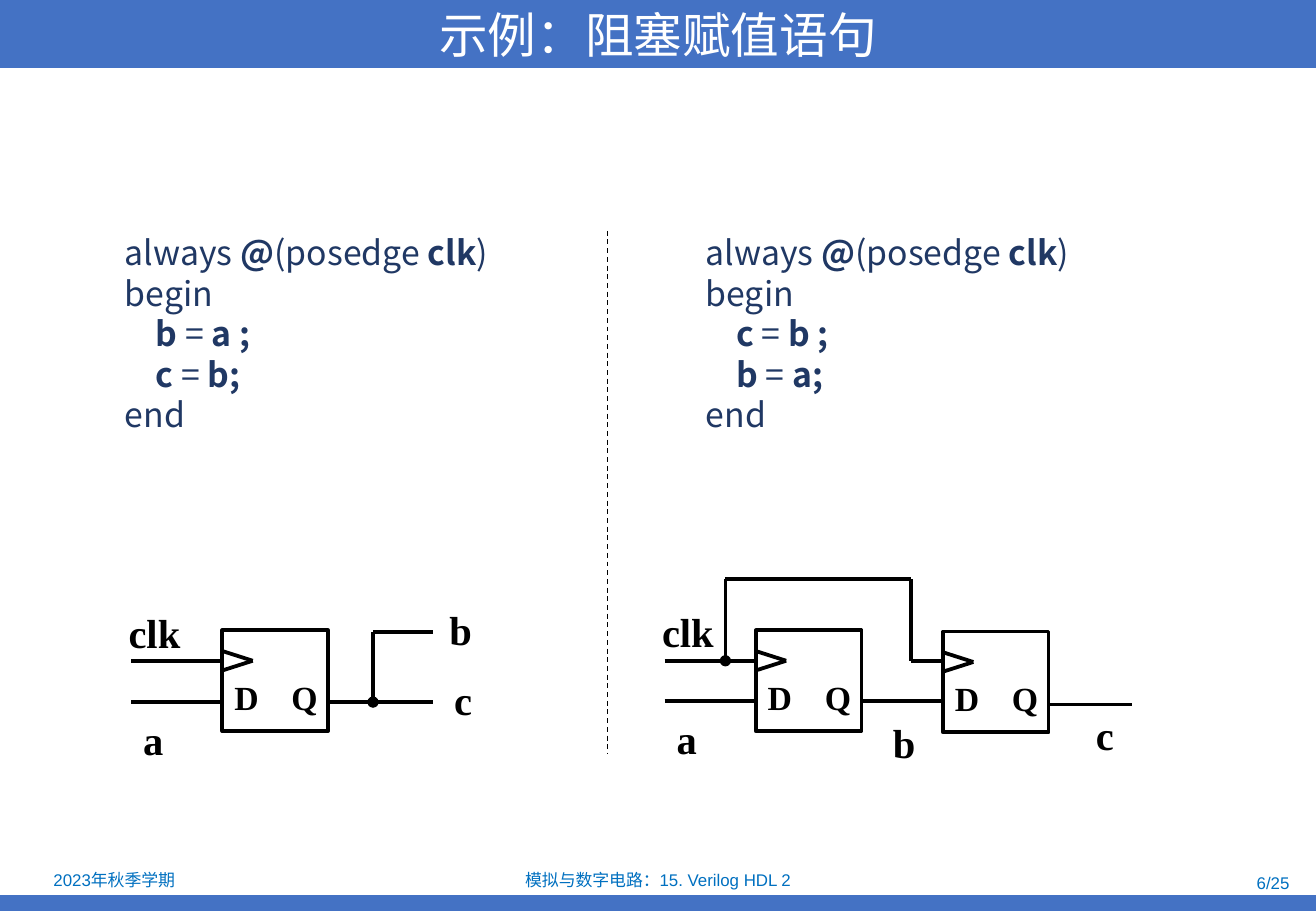
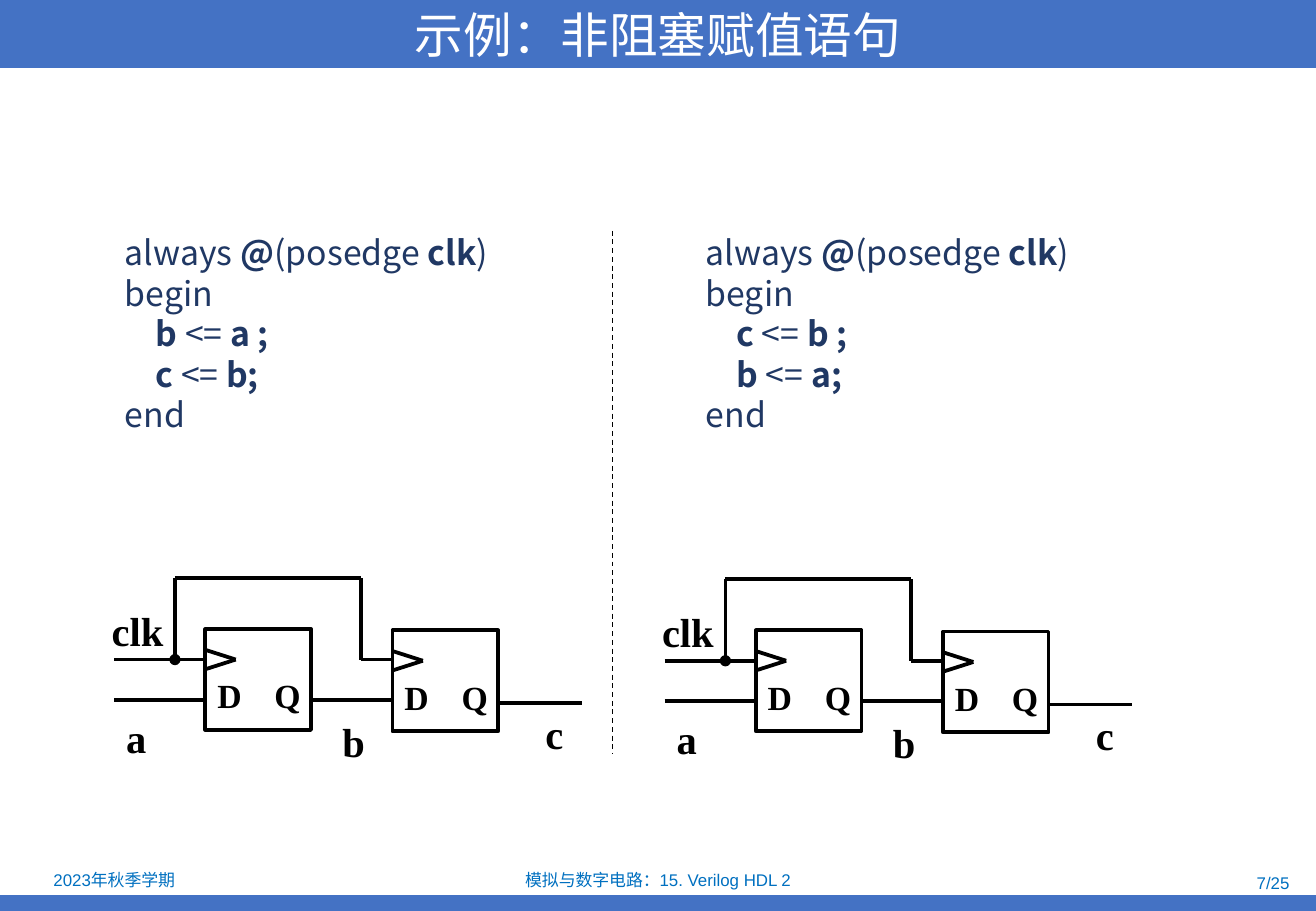
from dataclasses import dataclass

from lxml import etree
from pptx import Presentation
from pptx.dml.color import RGBColor
from pptx.enum.dml import MSO_LINE
from pptx.enum.shapes import MSO_CONNECTOR, MSO_SHAPE
from pptx.enum.text import MSO_ANCHOR, PP_ALIGN
from pptx.oxml.ns import qn
from pptx.util import Pt

PX = 9144
WIDTH, HEIGHT = 1083, 750
RECT = MSO_SHAPE.RECTANGLE
WIRE = MSO_CONNECTOR.STRAIGHT
DASH = MSO_LINE.DASH
TOP, MIDDLE = MSO_ANCHOR.TOP, MSO_ANCHOR.MIDDLE
LEFT, CENTER, RIGHT = PP_ALIGN.LEFT, PP_ALIGN.CENTER, PP_ALIGN.RIGHT
BLUE, SKY, NAVY, WHITE, BLACK = "4472C4", "0070C0", "203864", "FFFFFF", "000000"
SANS, SERIF, ARIAL = "Noto Sans CJK SC", "Times New Roman", "Arial"


@dataclass(frozen=True)
class Style:
    font: str
    size: float
    color: str
    align: PP_ALIGN = LEFT
    anchor: MSO_ANCHOR = TOP
    pitch: int = 0


@dataclass(frozen=True)
class Wire:
    x1: int
    y1: int
    x2: int
    y2: int
    dot: bool = False


@dataclass(frozen=True)
class Tag:
    text: str
    x: int
    y: int


@dataclass(frozen=True)
class Circuit:
    flops: tuple
    wires: tuple
    tags: tuple


@dataclass(frozen=True)
class Page:
    title: str
    number: str
    sign: str
    split: int
    plans: tuple


TITLE = Style(SANS, 28.8, WHITE, CENTER, MIDDLE)
FOOT = Style(ARIAL, 10, SKY, CENTER, MIDDLE)
COUNT = Style(ARIAL, 10, SKY, RIGHT, MIDDLE)
CODE = Style(SANS, 20, NAVY, pitch=24)
NET = Style(SERIF, 24, BLACK)
PIN = Style(SERIF, 20, BLACK)

SINGLE = Circuit(
    ((0, 0),),
    (
        Wire(124, 1, 124, 59, True),
        Wire(124, 1, 173, 1),
        Wire(87, 59, 173, 59),
        Wire(-75, 59, 0, 59),
        Wire(-75, 25, 0, 25),
    ),
    (Tag("clk", -87, -23), Tag("a", -75, 65), Tag("c", 181, 32), Tag("b", 177, -26)),
)
PAIR = Circuit(
    ((0, 0), (154, 1)),
    (
        Wire(87, 58, 153, 58),
        Wire(-75, 58, 0, 58),
        Wire(-75, 25, 0, 25),
        Wire(242, 61, 310, 61),
        Wire(-25, -42, 128, -42),
        Wire(128, -42, 128, 25),
        Wire(128, 25, 153, 25),
        Wire(-25, -42, -25, 25, True),
    ),
    (Tag("clk", -87, -24), Tag("a", -75, 64), Tag("b", 103, 67), Tag("c", 270, 61)),
)
PAGES = (
    Page("示例：阻塞赋值语句", "6/25", "=", 500, ((SINGLE, 183, 519), (PAIR, 622, 519))),
    Page("示例：非阻塞赋值语句", "7/25", "<=", 504, ((PAIR, 169, 518), (PAIR, 622, 519))),
)


def rgb(color: str) -> RGBColor:
    return RGBColor.from_string(color)


def write(shape, lines, style: Style) -> None:
    frame = shape.text_frame
    frame.word_wrap = True
    frame.vertical_anchor = style.anchor
    for row, line in enumerate(lines):
        para = frame.add_paragraph() if row else frame.paragraphs[0]
        para.alignment = style.align
        if style.pitch:
            para.line_spacing = Pt(style.pitch)
        for text, bold in line:
            run = para.add_run()
            run.text = text
            font = run.font
            font.name, font.size, font.bold = style.font, Pt(style.size), bold
            font.color.rgb = rgb(style.color)
            east = etree.SubElement(run._r.get_or_add_rPr(), qn("a:ea"))
            east.set("typeface", SANS)


def text(slide, x: int, y: int, w: int, h: int, lines, style: Style) -> None:
    write(slide.shapes.add_textbox(x * PX, y * PX, w * PX, h * PX), lines, style)


def band(slide, y: int, h: int):
    shape = slide.shapes.add_shape(RECT, 0, y * PX, WIDTH * PX, h * PX)
    shape.shadow.inherit = False
    shape.fill.solid()
    shape.fill.fore_color.rgb = rgb(BLUE)
    shape.line.fill.background()
    return shape


def link(slide, wire: Wire, x: int = 0, y: int = 0, width: float = 2.25):
    line = slide.shapes.add_connector(
        WIRE, (x + wire.x1) * PX, (y + wire.y1) * PX, (x + wire.x2) * PX, (y + wire.y2) * PX
    )
    line.line.width = Pt(width)
    line.line.color.rgb = rgb(BLACK)
    props = line._element.spPr
    if wire.dot:
        etree.SubElement(props.find(qn("a:ln")), qn("a:tailEnd")).set("type", "oval")
    etree.SubElement(props, qn("a:effectLst"))
    return line


def flop(slide, x: int, y: int) -> None:
    shape = slide.shapes.add_shape(RECT, x * PX, y * PX, 87 * PX, 83 * PX)
    shape.shadow.inherit = False
    shape.fill.background()
    shape.line.color.rgb = rgb(BLACK)
    shape.line.width = Pt(2.25)
    for edge in (17, 33):
        link(slide, Wire(0, edge, 25, 25), x, y)
    for pin, left, width in (("D", 0, 47), ("Q", 47, 33)):
        text(slide, x + left, y + 33, width, 43, [[(pin, True)]], PIN)


def draw(slide, plan: Circuit, x: int, y: int) -> None:
    for left, top in plan.flops:
        flop(slide, x + left, y + top)
    for wire in plan.wires:
        link(slide, wire, x, y)
    for tag in plan.tags:
        width = 67 if len(tag.text) > 1 else 33
        text(slide, x + tag.x, y + tag.y, width, 50, [[(tag.text, True)]], NET)


def code(slide, x: int, sign: str, pairs) -> None:
    head = [("always", False), (" @", True), ("(posedge ", False), ("clk", True), (")", False)]
    body = [[(f"    {to} ", True), (f"{sign} ", False), (end, True)] for to, end in pairs]
    lines = [head, [("begin", False)], *body, [("end", False)]]
    text(slide, x, 186, 380, 178, lines, CODE)


def frame(slide, page: Page) -> None:
    band(slide, 737, 13)
    head = band(slide, 0, 56)
    box = head.text_frame
    box.margin_top = box.margin_bottom = 0
    write(head, [[(page.title, False)]], TITLE)
    for words, x, y, w, h, style in (
        ("2023年秋季学期", 2, 713, 184, 23, FOOT),
        ("模拟与数字电路：15. Verilog HDL 2", 370, 714, 343, 21, FOOT),
        (page.number, 818, 716, 253, 21, COUNT),
    ):
        text(slide, x, y, w, h, [[(words, False)]], style)


def main() -> None:
    deck = Presentation()
    deck.slide_width, deck.slide_height = WIDTH * PX, HEIGHT * PX
    for page in PAGES:
        slide = deck.slides.add_slide(deck.slide_layouts[6])
        frame(slide, page)
        code(slide, 93, page.sign, (("b", "a ;"), ("c", "b;")))
        code(slide, 571, page.sign, (("c", "b ;"), ("b", "a;")))
        split = link(slide, Wire(page.split, 190, page.split, 620), width=0.75)
        split.line.dash_style = DASH
        for plan, x, y in page.plans:
            draw(slide, plan, x, y)
    deck.save("out.pptx")


if __name__ == "__main__":
    main()
